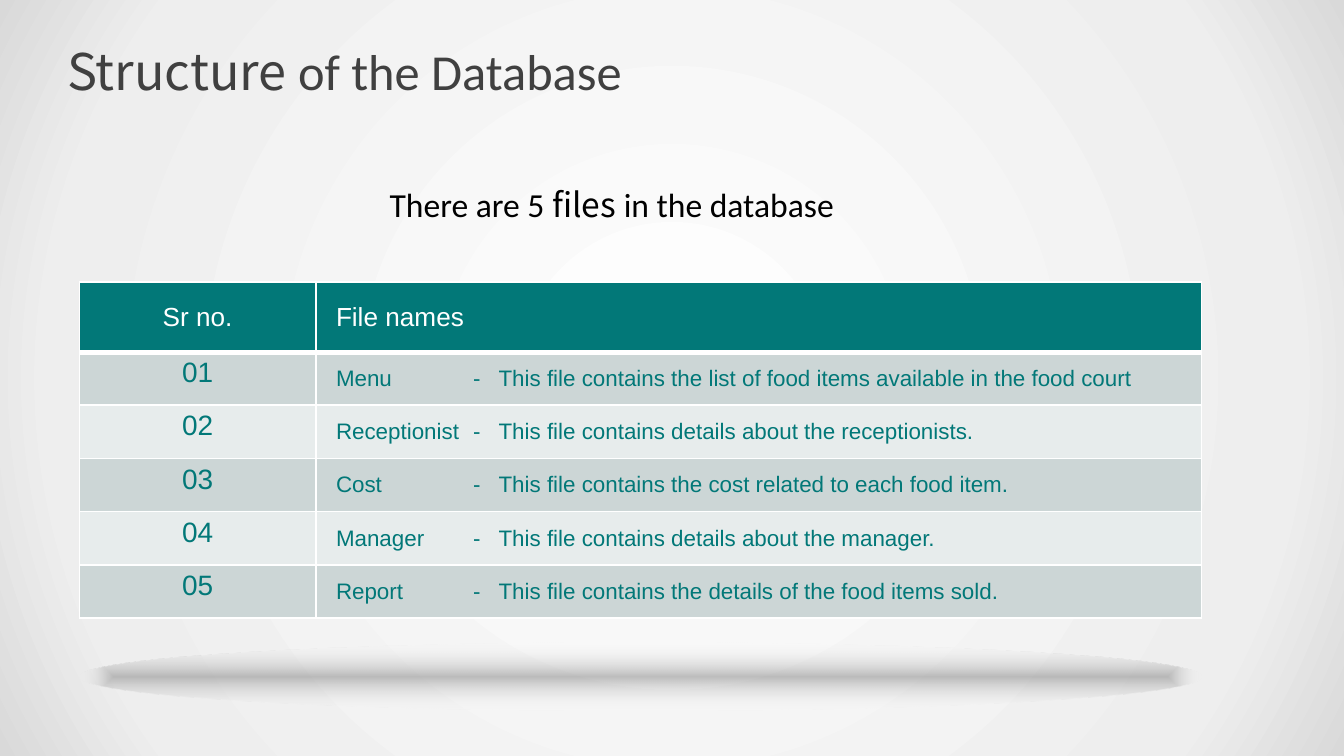
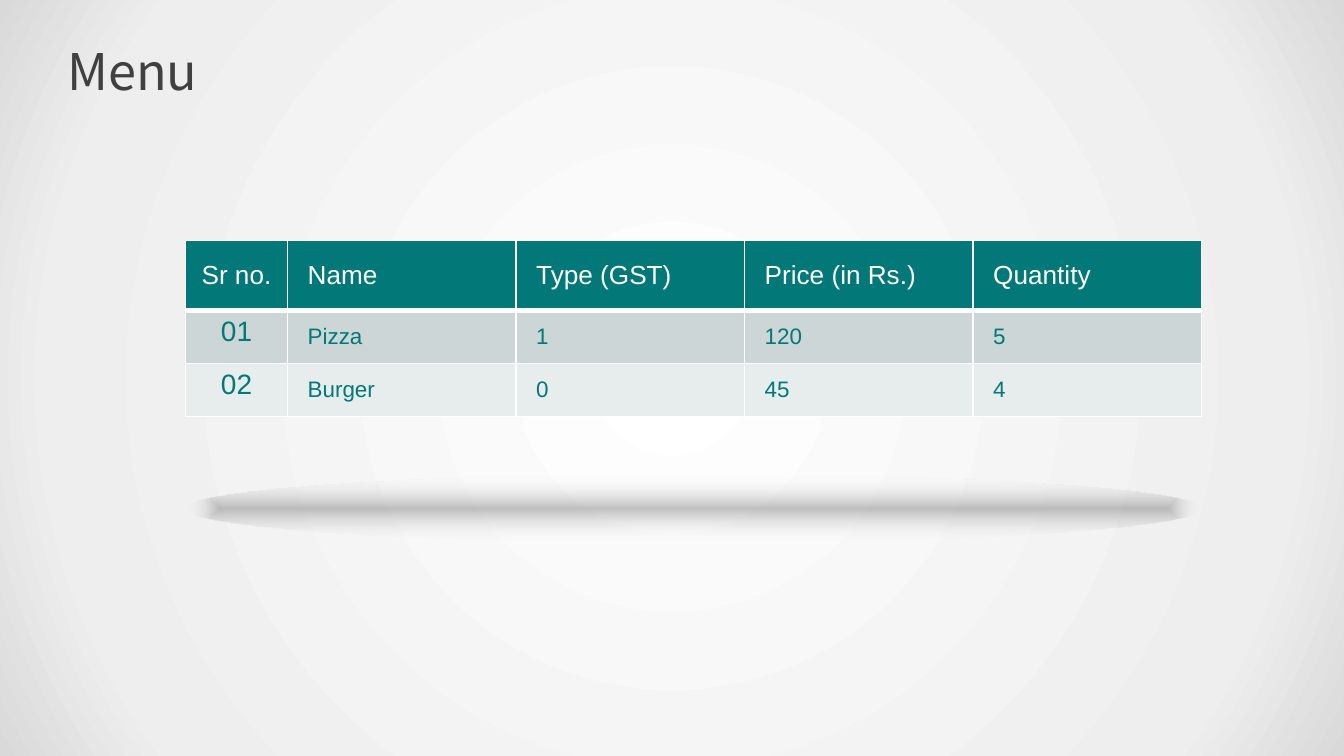
from lxml.etree import SubElement as Sub
from pptx import Presentation
from pptx.dml.color import RGBColor as Rgb
from pptx.enum.shapes import MSO_SHAPE as Shape
from pptx.enum.text import MSO_ANCHOR as Anchor, MSO_AUTO_SIZE as Auto, PP_ALIGN as Align
from pptx.oxml import parse_xml
from pptx.oxml.ns import nsdecls, qn
from pptx.util import Inches, Pt

# Content
NOTO, CAL, SANS = "Noto Sans CJK KR", "Calibri", "Arial"
DECK = [
    {
        "title": [("Structure", NOTO), (" of the Database", CAL)],
        "intro": [("There are 5 ", CAL), ("files", NOTO), (" in the database", CAL)],
        "head": ["Sr no.", "File names"],
        "rows": [
            ["Menu\t-\tThis file contains the list of food items available in the food court"],
            ["Receptionist\t-\tThis file contains details about the receptionists."],
            ["Cost\t-\tThis file contains the cost related to each food item."],
            ["Manager\t-\tThis file contains details about the manager."],
            ["Report\t-\tThis file contains the details of the food items sold."],
        ],
        "left": 0.59, "top": 2.1, "high": 2.5, "first": 1.76, "gap": 0.18,
    },
    {
        "title": [("Menu", NOTO)],
        "head": ["Sr no.", "Name", "Type (GST)", "Price (in Rs.)", "Quantity"],
        "rows": [["Pizza", "1", "120", "5"], ["Burger", "0", "45", "4"]],
        "left": 1.38, "top": 1.79, "high": 1.31, "first": 0.76, "gap": 0.43,
    },
]

# Shared look
WIDE = 10
HIGH = WIDE * 9 / 16
RIGHT, HEAD = 8.94, 0.52
TABS = (1.02, 1.21)
HUE = {"teal": "027878", "odd": "CCD6D6", "even": "E7ECEC", "white": "FFFFFF",
       "title": "404040", "text": "000000", "mist": "EEEEEE", "edge": "D9D9D9",
       "shade": "808080"}
GLOW = [(0, "white", 100), (81, "mist", 100), (100, "edge", 100)]
SHADE = [(0, "shade", 49), (100, "white", 0)]


def rgb(key):
    return Rgb.from_string(HUE[key])


def put(obj, vals):
    for key, val in vals.items():
        setattr(obj, key, val)


def write(para, runs, size, hue):
    for text, face in runs:
        run = para.add_run()
        run.text = text
        put(run.font, {"name": face, "size": Pt(size), "bold": False})
        run.font.color.rgb = rgb(hue)


def radial(node, fill, stops, kind):
    """Fill a node with a gradient that spreads from its centre."""
    fill.solid()
    old = next(node.iter(qn("a:solidFill")))
    marks = "".join(
        f'<a:gs pos="{pos * 1000}"><a:srgbClr val="{HUE[hue]}">'
        f'<a:alpha val="{part * 1000}"/></a:srgbClr></a:gs>'
        for pos, hue, part in stops)
    new = parse_xml(
        f'<a:gradFill {nsdecls("a")} rotWithShape="1"><a:gsLst>{marks}</a:gsLst>'
        f'<a:path path="{kind}"><a:fillToRect l="50000" t="50000" r="50000" b="50000"/>'
        '</a:path></a:gradFill>')
    old.getparent().replace(old, new)


def label(slide, area, runs, size, hue, form):
    box = slide.shapes.add_textbox(*map(Inches, area))
    put(box.text_frame, form)
    write(box.text_frame.paragraphs[0], runs, size, hue)


def border(cell):
    """Edge a head cell in white, with a heavier foot."""
    props = cell._tc.get_or_add_tcPr()
    for spot, (side, width) in enumerate(zip("LRTB", (1, 1, 1, 3))):
        line = Sub(props, qn(f"a:ln{side}"), w=str(Pt(width)))
        Sub(Sub(line, qn("a:solidFill")), qn("a:srgbClr"), val=HUE["white"])
        props.insert(spot, line)


def style(cell, text, row, col):
    top, key = row == 0, col == 0
    put(cell, {
        "margin_left": Inches(0.07 if key else 0.15), "margin_right": Inches(0.07),
        "margin_top": Inches(0.04), "margin_bottom": Inches(0.04),
        "vertical_anchor": Anchor.TOP if key and not top else Anchor.MIDDLE})
    cell.fill.solid()
    cell.fill.fore_color.rgb = rgb("teal" if top else "odd" if row % 2 else "even")
    if top:
        border(cell)
    para = cell.text_frame.paragraphs[0]
    para.alignment = Align.CENTER if key else Align.LEFT
    if "\t" in text:
        stops = Sub(para._p.get_or_add_pPr(), qn("a:tabLst"))
        for tab in TABS:
            Sub(stops, qn("a:tab"), pos=str(Inches(tab)), algn="l")
    size = 14 if top else 15 if key else 12
    write(para, [(text, SANS)], size, "white" if top else "teal")


def grid(slide, page):
    """Draw the table, with its rows numbered, and the shade below it."""
    rows = [page["head"]] + [[f"{num:02}", *row] for num, row in enumerate(page["rows"], 1)]
    cols = len(rows[0])
    left, top, high = page["left"], page["top"], page["high"]
    wide = RIGHT - left
    area = map(Inches, (left, top, wide, high))
    table = slide.shapes.add_table(len(rows), cols, *area).table
    rest = (wide - page["first"]) / (cols - 1)
    for num, col in enumerate(table.columns):
        col.width = Inches(rest if num else page["first"])
    step = (high - HEAD) / len(page["rows"])
    for num, row in enumerate(table.rows):
        row.height = Inches(step if num else HEAD)
        for col, text in enumerate(rows[num]):
            style(table.cell(num, col), text, num, col)
    area = map(Inches, (left, top + high + page["gap"], wide, 0.51))
    oval = slide.shapes.add_shape(Shape.OVAL, *area)
    oval.shadow.inherit = False
    oval.line.fill.background()
    radial(oval._element.spPr, oval.fill, SHADE, "shape")


def main():
    deck = Presentation()
    put(deck, {"slide_width": Inches(WIDE), "slide_height": Inches(HIGH)})
    for page in DECK:
        slide = deck.slides.add_slide(deck.slide_layouts[6])
        radial(slide._element, slide.background.fill, GLOW, "circle")
        # Title
        label(slide, (0.5, 0.23, 9, 0.58), page["title"], 27, "title", {
            "word_wrap": True, "vertical_anchor": Anchor.MIDDLE,
            "margin_left": 0, "margin_right": 0,
            "margin_top": Inches(0.07), "margin_bottom": Inches(0.07)})
        # Table and shade
        grid(slide, page)
        # Intro line
        if "intro" in page:
            label(slide, (2.8, 1.32, 4.02, 0.4), page["intro"], 18, "text", {
                "word_wrap": True, "auto_size": Auto.SHAPE_TO_FIT_TEXT})
    deck.save("out.pptx")


if __name__ == "__main__":
    main()
